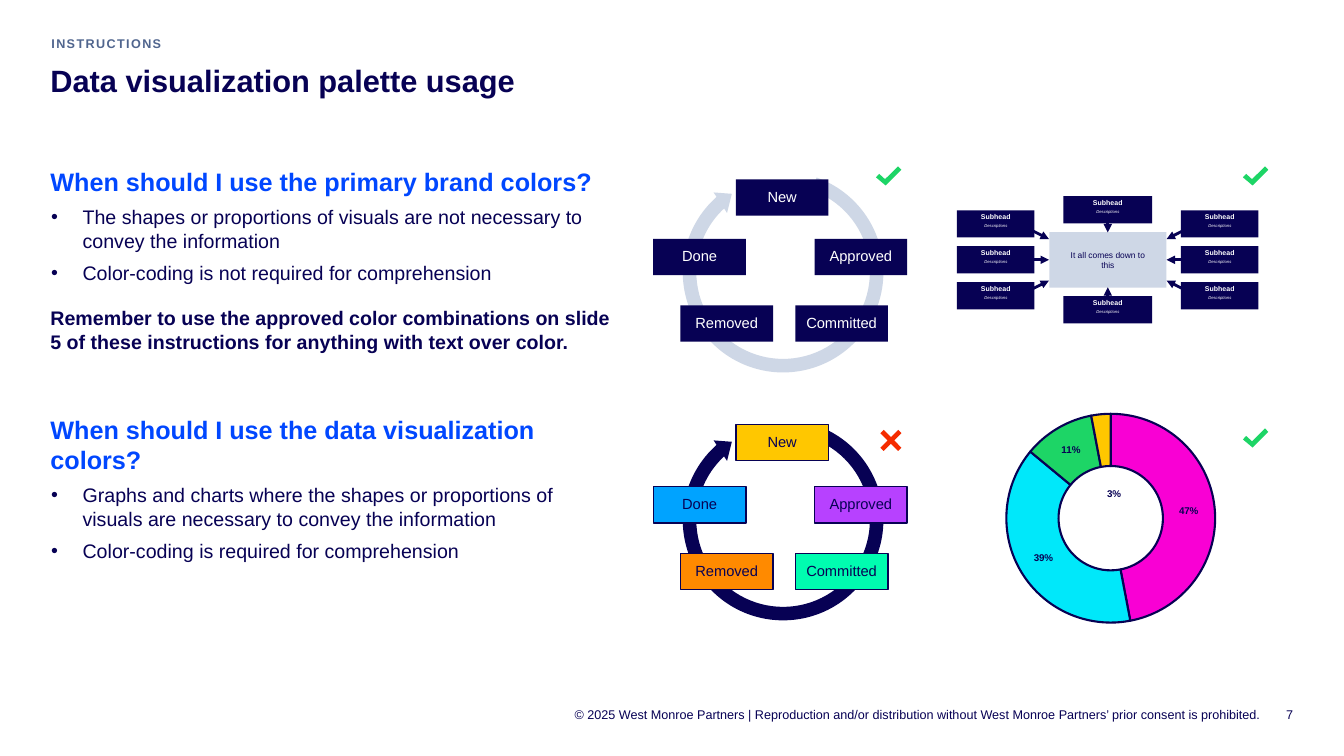
from lxml.etree import SubElement
from pptx import Presentation
from pptx.chart.data import CategoryChartData
from pptx.dml.color import RGBColor
from pptx.enum.chart import XL_CHART_TYPE
from pptx.enum.shapes import MSO_CONNECTOR, MSO_SHAPE
from pptx.enum.text import MSO_ANCHOR, MSO_AUTO_SIZE, PP_ALIGN
from pptx.oxml import parse_xml
from pptx.oxml.ns import nsdecls, qn
from pptx.util import Pt

COLORS = {
    "navy": "070154", "blue": "0047FF", "slate": "50658E", "mist": "CED7E6",
    "white": "FFFFFF", "yellow": "FFC700", "purple": "B741FF", "mint": "00FCB0",
    "orange": "FF8A00", "sky": "00A3FF", "red": "F52C00", "green": "1DD566",
    "magenta": "F900D4", "cyan": "00E8FA",
}
LEFT, CENTER, RIGHT = PP_ALIGN.LEFT, PP_ALIGN.CENTER, PP_ALIGN.RIGHT
TOP, MIDDLE, BOTTOM = MSO_ANCHOR.TOP, MSO_ANCHOR.MIDDLE, MSO_ANCHOR.BOTTOM


def color(name):
    return RGBColor.from_string(COLORS[name])


def manual_layout(x, y, size=None):
    extent = ""
    if size:
        extent = f'<c:w val="{size[0]}"/><c:h val="{size[1]}"/>'
    target = '<c:layoutTarget val="inner"/><c:xMode val="edge"/><c:yMode val="edge"/>' if size else ""
    return parse_xml(f'<c:layout {nsdecls("c")}><c:manualLayout>{target}'
                     f'<c:x val="{x}"/><c:y val="{y}"/>{extent}</c:manualLayout></c:layout>')


class SlideBuilder:
    font = "Arial"

    def __init__(self, slide):
        self.slide = slide
        self.shapes = slide.shapes

    def style(self, font, size, ink, bold=False, italic=False):
        font.name, font.size, font.bold, font.italic = self.font, Pt(size), bold, italic
        font.color.rgb = color(ink)

    def frame(self, holder, anchor=TOP, insets=(0, 0, 0, 0)):
        frame = holder.text_frame
        frame.word_wrap, frame.auto_size = True, MSO_AUTO_SIZE.NONE
        frame.vertical_anchor = anchor
        (frame.margin_left, frame.margin_top,
         frame.margin_right, frame.margin_bottom) = map(Pt, insets)
        return frame

    def paragraph(self, paragraph, text, size, ink, align=LEFT, after=0, spacing=1.0,
                  bullet=False, **emphasis):
        paragraph.text = text
        paragraph.alignment, paragraph.line_spacing = align, spacing
        paragraph.space_before, paragraph.space_after = Pt(0), Pt(after)
        props = paragraph._p.get_or_add_pPr()
        props.set("marL", str(Pt(23) if bullet else 0))
        props.set("indent", str(-Pt(22.5) if bullet else 0))
        if bullet:
            SubElement(props, qn("a:buFont")).set("typeface", self.font)
            SubElement(props, qn("a:buChar")).set("char", "•")
        else:
            SubElement(props, qn("a:buNone"))
        for run in paragraph.runs:
            self.style(run.font, size, ink, **emphasis)

    def placeholder(self, idx, x, y, w, h, anchor=TOP, insets=(0, 0, 0, 0)):
        holder = self.slide.placeholders[idx]
        holder.left, holder.top, holder.width, holder.height = map(Pt, (x, y, w, h))
        return self.frame(holder, anchor, insets)

    def guidance(self, idx, y, heading, bullets, reminder=None):
        frame = self.placeholder(idx, 36, y, 402.5, 125.3)
        self.paragraph(frame.paragraphs[0], heading, 18, "blue", after=6, bold=True)
        for point in bullets:
            after = 16 if point == bullets[-1] else 6
            self.paragraph(frame.add_paragraph(), point, 14, "navy", after=after, bullet=True)
        if reminder:
            self.paragraph(frame.add_paragraph(), reminder, 14, "navy", bold=True)

    def text(self, x, y, w, h, words, size, ink, align=LEFT, anchor=TOP, **emphasis):
        box = self.shapes.add_textbox(*map(Pt, (x, y, w, h)))
        frame = self.frame(box, anchor)
        self.paragraph(frame.paragraphs[0], words, size, ink, align, **emphasis)

    def paint(self, shape, fill, outline=None):
        shape.shadow.inherit = False
        shape.fill.solid()
        shape.fill.fore_color.rgb = color(fill)
        if outline:
            shape.line.color.rgb = color(outline)
            shape.line.width = Pt(1)
        else:
            shape.line.fill.background()

    def shape(self, kind, x, y, w, h, fill, outline=None, adjustments=()):
        shape = self.shapes.add_shape(kind, *map(Pt, (x, y, w, h)))
        for index, value in enumerate(adjustments):
            shape.adjustments[index] = value
        self.paint(shape, fill, outline)
        return shape

    def label_box(self, x, y, w, h, fill, words, size, ink, insets, outline=None, spacing=1.0):
        box = self.shape(MSO_SHAPE.RECTANGLE, x, y, w, h, fill, outline)
        frame = self.frame(box, MIDDLE, insets)
        self.paragraph(frame.paragraphs[0], words, size, ink, CENTER, spacing=spacing)

    def arrow(self, x1, y1, x2, y2):
        arrow = self.shapes.add_connector(MSO_CONNECTOR.STRAIGHT, *map(Pt, (x1, y1, x2, y2)))
        arrow.line.color.rgb = color("navy")
        arrow.line.width = Pt(2)
        SubElement(arrow.line._get_or_add_ln(), qn("a:tailEnd")).set("type", "triangle")
        SubElement(arrow._element.spPr, qn("a:effectLst"))

    def check(self, x, y):
        outline = [(15.8, 0), (6.5, 9.2), (2.3, 5.4), (0, 7.9), (6.9, 13.7), (18.1, 2.5)]
        points = [(Pt(x + dx), Pt(y + dy)) for dx, dy in outline]
        builder = self.shapes.build_freeform(*points[0], scale=1.0)
        builder.add_line_segments(points[1:], close=True)
        self.paint(builder.convert_to_shape(), "green")

    def cycle(self, y, ring, ring_start, first_drop, fills, ink, outline=None):
        self.shape(MSO_SHAPE.CIRCULAR_ARROW, 483.8, y, 151.2, 151.2, ring,
                   adjustments=(0.064, 5.349, 136.725, ring_start, 0.058))
        stages = [("New", 525.6, first_drop), ("Approved", 581.8, 51.8),
                  ("Committed", 568.1, 99.4), ("Removed", 486, 99.4), ("Done", 466.6, 51.8)]
        for (stage, x, drop), fill in zip(stages, fills):
            self.label_box(x, y + drop, 66.2, 25.9, fill, stage, 10.5, ink,
                           (7.2,) * 4, outline, 0.9)

    def card(self, cx, cy, w):
        top = cy - 9.7
        self.shape(MSO_SHAPE.RECTANGLE, cx - w / 2, top, w, 19.4, "navy")
        self.text(cx - 23, top + 9.4, 46, 8.6, "Descriptions", 3, "white", CENTER, italic=True)
        self.text(cx - 23, top + 2.9, 46, 5, "Subhead", 5, "white", CENTER, BOTTOM, bold=True)

    def doughnut(self, x, y, w, h, shares, fills):
        data = CategoryChartData(number_format="0%")
        data.categories = [str(n + 1) for n in range(len(shares))]
        data.add_series("Series 1", shares)
        chart = self.shapes.add_chart(XL_CHART_TYPE.DOUGHNUT, *map(Pt, (x, y, w, h)), data).chart
        chart.has_title = chart.has_legend = False
        self.style(chart.font, 7, "navy", bold=True)
        plot = chart.plots[0]
        plot.vary_by_categories = True
        series = plot.series[0]
        labels = series.data_labels
        labels.show_value, labels.show_percentage = True, False
        labels.number_format, labels.number_format_is_linked = "0%", False
        self.style(labels.font, 7, "navy", bold=True)
        for index, fill in enumerate(fills):
            form = series.points[index].format
            form.fill.solid()
            form.fill.fore_color.rgb = color(fill)
            form.line.color.rgb = color("navy")
            form.line.width = Pt(1.5)
        # Smallest share: label moved into the hole
        self.style(series.points[len(shares) - 1].data_label.font, 7, "navy", bold=True)
        space = chart._chartSpace
        space.xpath(".//c:dLbl/c:idx")[0].addnext(manual_layout(0.03, 0.11))
        space.xpath(".//c:holeSize")[0].set("val", "59")
        area = space.xpath(".//c:plotArea")[0]
        for old in area.findall(qn("c:layout")):
            area.remove(old)
        area.insert(0, manual_layout(0.221, 0.213, (0.618, 0.422)))


def main():
    deck = Presentation()
    deck.slide_width, deck.slide_height = Pt(960), Pt(540)
    page = SlideBuilder(deck.slides.add_slide(deck.slide_layouts[4]))
    spare = page.slide.placeholders[3]._element
    spare.getparent().remove(spare)

    # Title and section label
    title = page.placeholder(0, 36, 43.9, 887, 67.7)
    page.paragraph(title.paragraphs[0], "Data visualization palette usage", 22, "navy", bold=True)
    section = page.placeholder(1, 36.7, 0, 402.5, 43.9, BOTTOM, (0, 0, 0, 7.2))
    page.paragraph(section.paragraphs[0], "INSTRUCTIONS", 9, "slate", bold=True)
    section.paragraphs[0].runs[0].font._element.set("spc", "100")

    # Guidance
    page.guidance(2, 118.8, "When should I use the primary brand colors?", [
        "The shapes or proportions of visuals are not necessary to convey the information",
        "Color-coding is not required for comprehension",
    ], "Remember to use the approved color combinations on slide 5 of these instructions "
       "for anything with text over color.")
    page.guidance(4, 295.9, "When should I use the data visualization colors?", [
        "Graphs and charts where the shapes or proportions of visuals are necessary "
        "to convey the information",
        "Color-coding is required for comprehension",
    ])

    # Cycles: primary colors, then data colors
    page.cycle(118.8, "mist", 173.695, 9.4, ["navy"] * 5, "white")
    page.cycle(295.9, "navy", 174.533, 7.2,
               ["yellow", "purple", "mint", "orange", "sky"], "navy", "navy")

    # Hub with eight cards
    hub_x, hub_y = 791.3, 185.6
    page.label_box(hub_x - 41.8, hub_y - 19.8, 83.6, 39.6, "mist",
                   "It all comes down to this", 6, "navy", (14.4, 0, 14.4, 0))
    for side in (-1, 1):
        page.arrow(hub_x, hub_y + side * 29, hub_x, hub_y + side * 19.6)
        page.card(hub_x, hub_y + side * 35.7, 63.4)
        for row in (-1, 0, 1):
            start = 57.6 if row else 64.8
            page.arrow(hub_x + side * start, hub_y + row * 22.7,
                       hub_x + side * 42, hub_y + row * 14.8)
            page.card(hub_x + side * 80, hub_y + row * 25.7, 55.4)

    # Verdict marks
    page.shape(MSO_SHAPE.MATH_MULTIPLY, 624.2, 302.4, 24.5, 24.5, "red", adjustments=(0.135,))
    for x, y in [(625.7, 118.8), (887.8, 118.8), (887.8, 306)]:
        page.check(x, y)

    # Shares
    page.doughnut(659.5, 220.3, 252.7, 353.5, (0.47, 0.39, 0.11, 0.03),
                  ["magenta", "cyan", "green", "yellow"])

    # Footer
    page.text(340.6, 504, 559.4, 13, "© 2025 West Monroe Partners | Reproduction and/or "
              "distribution without West Monroe Partners’ prior consent is prohibited.",
              9, "navy", RIGHT, MIDDLE)
    page.text(906.5, 504, 17.3, 13, "7", 9, "navy", RIGHT, MIDDLE)
    deck.save("out.pptx")


if __name__ == "__main__":
    main()
